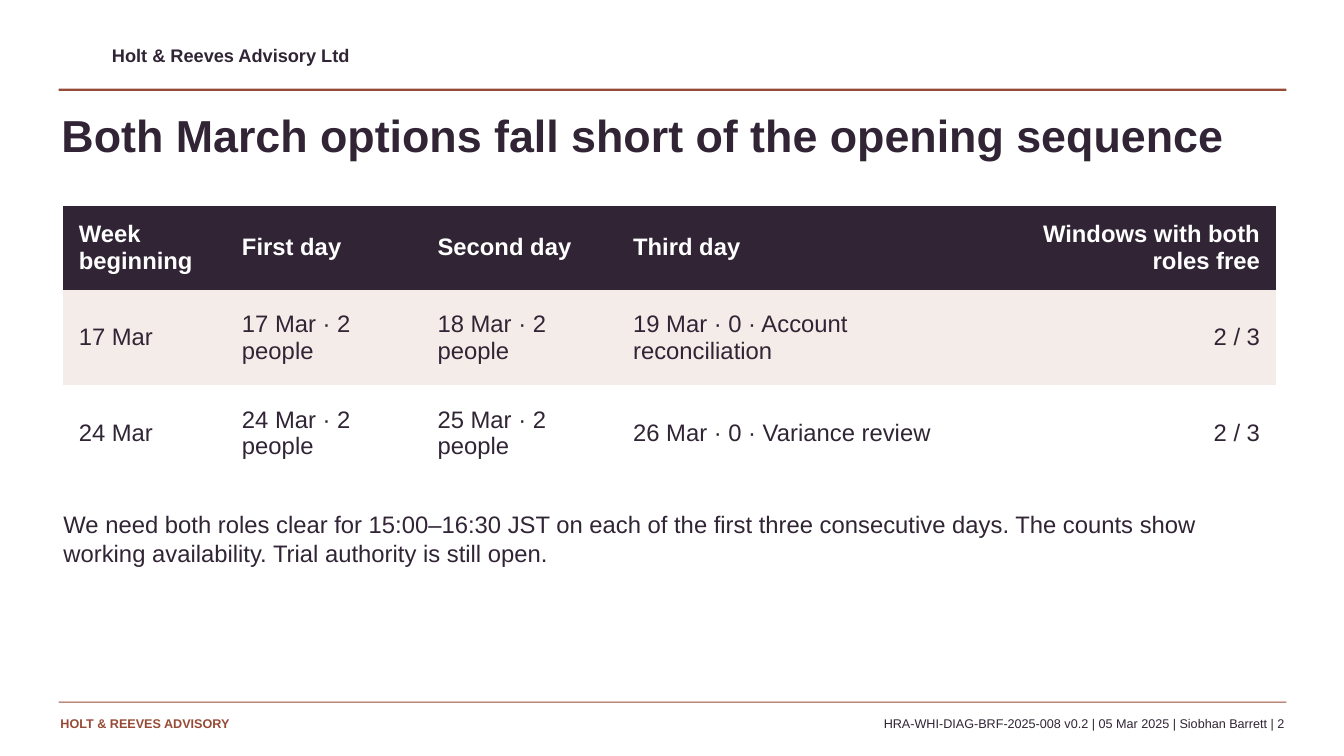
from lxml.etree import SubElement as Sub
from pptx import Presentation
from pptx.dml.color import RGBColor as Rgb
from pptx.enum.shapes import MSO_SHAPE as Kind
from pptx.enum.text import MSO_ANCHOR as Anchor, PP_ALIGN as Align
from pptx.oxml.ns import qn
from pptx.util import Pt

HUES = {"ink": "302435", "rust": "964B37", "band": "F4ECE8", "white": "FFFFFF"}
HEAD = ["Week beginning", "First day", "Second day", "Third day",
        "Windows with both roles free"]
ROWS = [
    ["17 Mar", "17 Mar · 2 people", "18 Mar · 2 people",
     "19 Mar · 0 · Account reconciliation", "2 / 3"],
    ["24 Mar", "24 Mar · 2 people", "25 Mar · 2 people",
     "26 Mar · 0 · Variance review", "2 / 3"],
]
COLS = [116.6, 139.7, 139.7, 271.4, 199.4]
HIGH = [59.8, 68.4, 68.4]


def hue(name):
    return Rgb.from_string(HUES[name])


def write(frame, text, size=17, color="ink", bold=False, align=Align.LEFT, space=None):
    frame.word_wrap = True
    par = frame.paragraphs[0]
    par.alignment = align
    par.line_spacing = space
    run = par.add_run()
    run.text = text
    font = run.font
    font.name, font.size, font.bold = "Arial", Pt(size), bold
    font.color.rgb = hue(color)


def label(slide, box, text, **form):
    frame = slide.shapes.add_textbox(*map(Pt, box)).text_frame
    frame.margin_left = frame.margin_right = 0
    frame.margin_top = frame.margin_bottom = 0
    write(frame, text, **form)


def rule(slide, box):
    shape = slide.shapes.add_shape(Kind.RECTANGLE, *map(Pt, box))
    shape.shadow.inherit = False
    shape.fill.solid()
    shape.fill.fore_color.rgb = hue("rust")
    shape.line.fill.background()


def header(slide, left, top, width):
    label(slide, (left + 38.2, top + 1.5, 432, 19.4),
          "Holt & Reeves Advisory Ltd", size=13, bold=True)
    rule(slide, (left, top + 33.2, width, 1.6))


def footer(slide, left, top, width):
    rule(slide, (left, top, width, 0.9))
    label(slide, (left + 1.4, top + 10.1, 244.8, 18), "HOLT & REEVES ADVISORY",
          size=9, color="rust", bold=True)
    label(slide, (left + width - 622, top + 10.1, 620.6, 13.7),
          "HRA-WHI-DIAG-BRF-2025-008 v0.2 | 05 Mar 2025 | Siobhan Barrett | 2",
          size=9, align=Align.RIGHT)


def bare(cell):
    props = cell._tc.get_or_add_tcPr()
    for side in ("a:lnL", "a:lnR", "a:lnT", "a:lnB"):
        Sub(Sub(props, qn(side), w="0"), qn("a:noFill"))


def grid(slide, left, top):
    rows = [HEAD, *ROWS]
    box = map(Pt, (left, top, sum(COLS), sum(HIGH)))
    table = slide.shapes.add_table(len(rows), len(COLS), *box).table
    for col, width in zip(table.columns, COLS):
        col.width = Pt(width)
    for row, high in zip(table.rows, HIGH):
        row.height = Pt(high)
    fills = ["ink", "band", "white"]
    for r, texts in enumerate(rows):
        for c, text in enumerate(texts):
            cell = table.cell(r, c)
            bare(cell)
            cell.fill.solid()
            cell.fill.fore_color.rgb = hue(fills[r])
            cell.vertical_anchor = Anchor.MIDDLE
            cell.margin_left = cell.margin_right = Pt(11.5)
            cell.margin_top = cell.margin_bottom = Pt(5.8)
            write(cell.text_frame, text, bold=r == 0,
                  color="white" if r == 0 else "ink",
                  align=Align.RIGHT if c == len(COLS) - 1 else Align.LEFT)


def body(slide, left, top):
    label(slide, (left, top, 864, 56.2),
          "Both March options fall short of the opening sequence",
          size=32, bold=True)
    grid(slide, left + 0.9, top + 70)
    label(slide, (left + 1.4, top + 286, 859.7, 64.8),
          "We need both roles clear for 15:00–16:30 JST on each of the first three "
          "consecutive days. The counts show working availability. "
          "Trial authority is still open.", space=1.04)


def main():
    deck = Presentation()
    deck.slide_width, deck.slide_height = Pt(960), Pt(540)
    slide = deck.slides.add_slide(deck.slide_layouts[6])
    header(slide, 41.8, 30.2, 877)
    body(slide, 43.9, 77)
    footer(slide, 41.8, 501.1, 877)
    deck.save("out.pptx")


if __name__ == "__main__":
    main()
